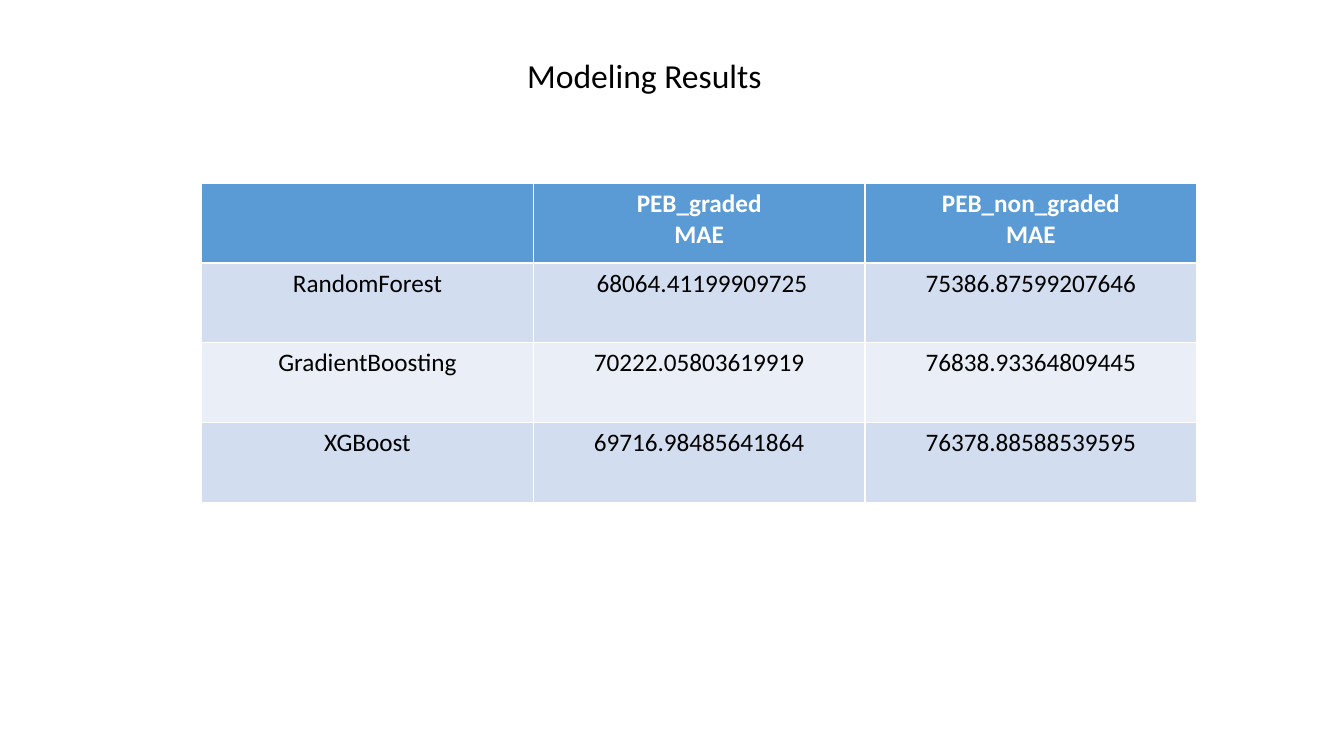
from pptx import Presentation
from pptx import util as u
from pptx.dml.color import RGBColor
from pptx.enum import text

BLACK = RGBColor(0x00, 0x00, 0x00)
WHITE = RGBColor(0xFF, 0xFF, 0xFF)
HEADER_BLUE = RGBColor(0x5B, 0x9B, 0xD5)
BANDS = (RGBColor(0xEA, 0xEF, 0xF7), RGBColor(0xD2, 0xDE, 0xEF))

RESULTS = (
    ("", "PEB_graded\nMAE", "PEB_non_graded\nMAE"),
    ("RandomForest", " 68064.41199909725", "75386.87599207646"),
    ("GradientBoosting", "70222.05803619919", "76838.93364809445"),
    ("XGBoost", "69716.98485641864", "76378.88588539595"),
)


class SlideBuilder:
    """Holds the text style and the current slide, and adds its elements."""

    def __init__(self, prs, font="Calibri"):
        self.font = font
        self.slide = prs.slides.add_slide(prs.slide_layouts[5])

    def style(self, tf, size, color, align, bold=False):
        for p in tf.paragraphs:
            p.alignment = align
            p.font.name = self.font
            p.font.size = u.Pt(size)
            p.font.bold = bold
            p.font.color.rgb = color

    def title(self, words, left, top, width, height):
        sp = self.slide.shapes.title
        sp.left, sp.top = u.Cm(left), u.Cm(top)
        sp.width, sp.height = u.Cm(width), u.Cm(height)
        tf = sp.text_frame
        tf.text = words
        tf.word_wrap = True
        tf.vertical_anchor = text.MSO_ANCHOR.TOP
        self.style(tf, 24, BLACK, text.PP_ALIGN.LEFT)

    def table(self, rows, left, top, col_width, row_height):
        n_rows, n_cols = len(rows), len(rows[0])
        table = self.slide.shapes.add_table(
            n_rows, n_cols, u.Cm(left), u.Cm(top),
            u.Cm(col_width * n_cols), u.Cm(row_height * n_rows)).table
        for i, row in enumerate(rows):
            header = i == 0
            for j, words in enumerate(row):
                cell = table.cell(i, j)
                cell.text = words
                cell.fill.solid()
                cell.fill.fore_color.rgb = HEADER_BLUE if header else BANDS[i % 2]
                self.style(cell.text_frame, 18, WHITE if header else BLACK,
                           text.PP_ALIGN.CENTER, header)


def main():
    prs = Presentation()
    prs.slide_width, prs.slide_height = u.Cm(33.87), u.Cm(19.05)
    s = SlideBuilder(prs)
    s.title("Modeling Results", 13.03, 1.25, 7.06, 1.28)
    s.table(RESULTS, 5.08, 4.62, 8.36, 2.01)
    prs.save("out.pptx")


if __name__ == "__main__":
    main()
